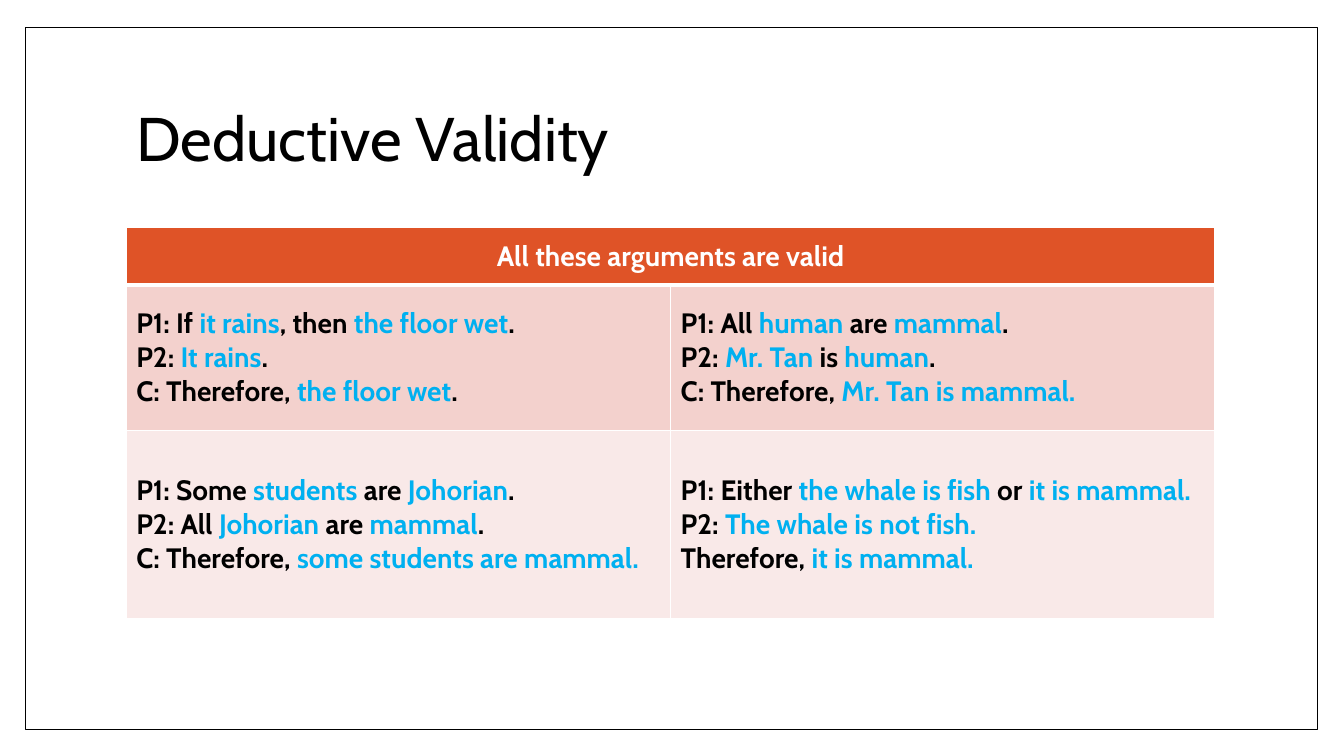
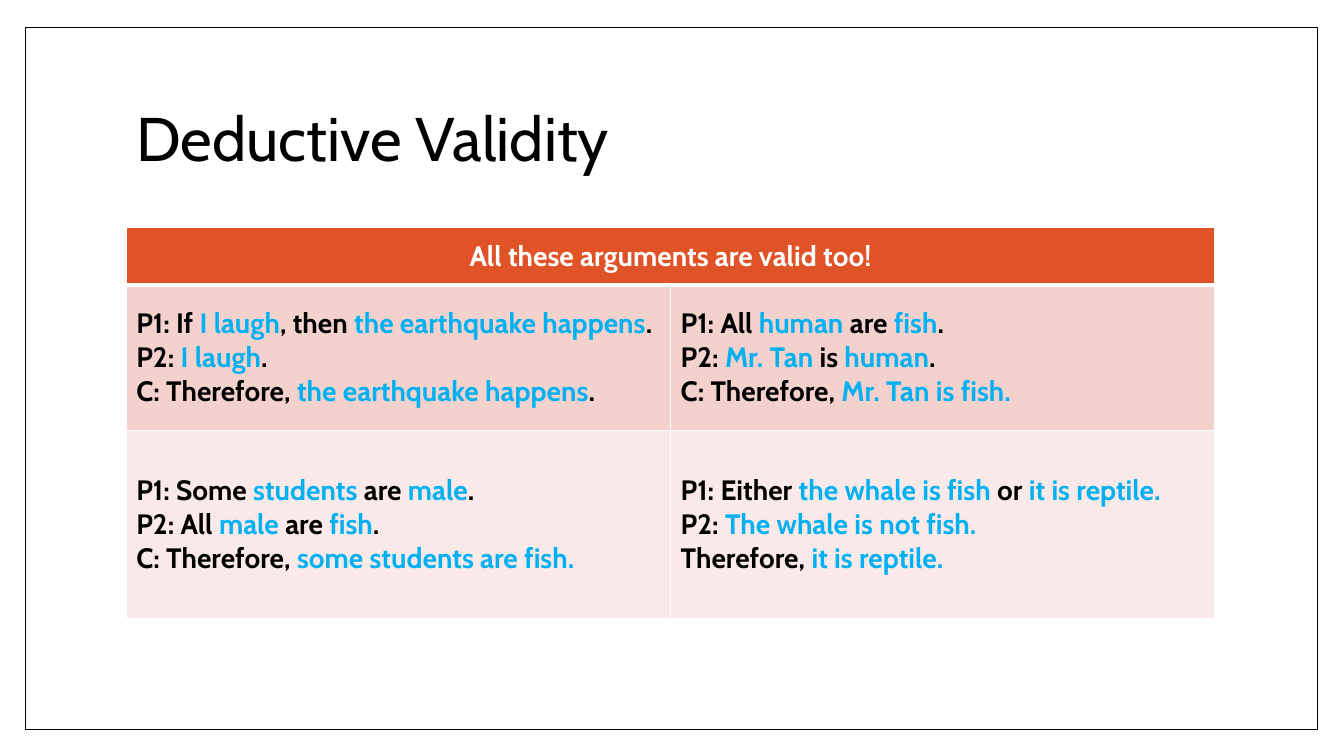
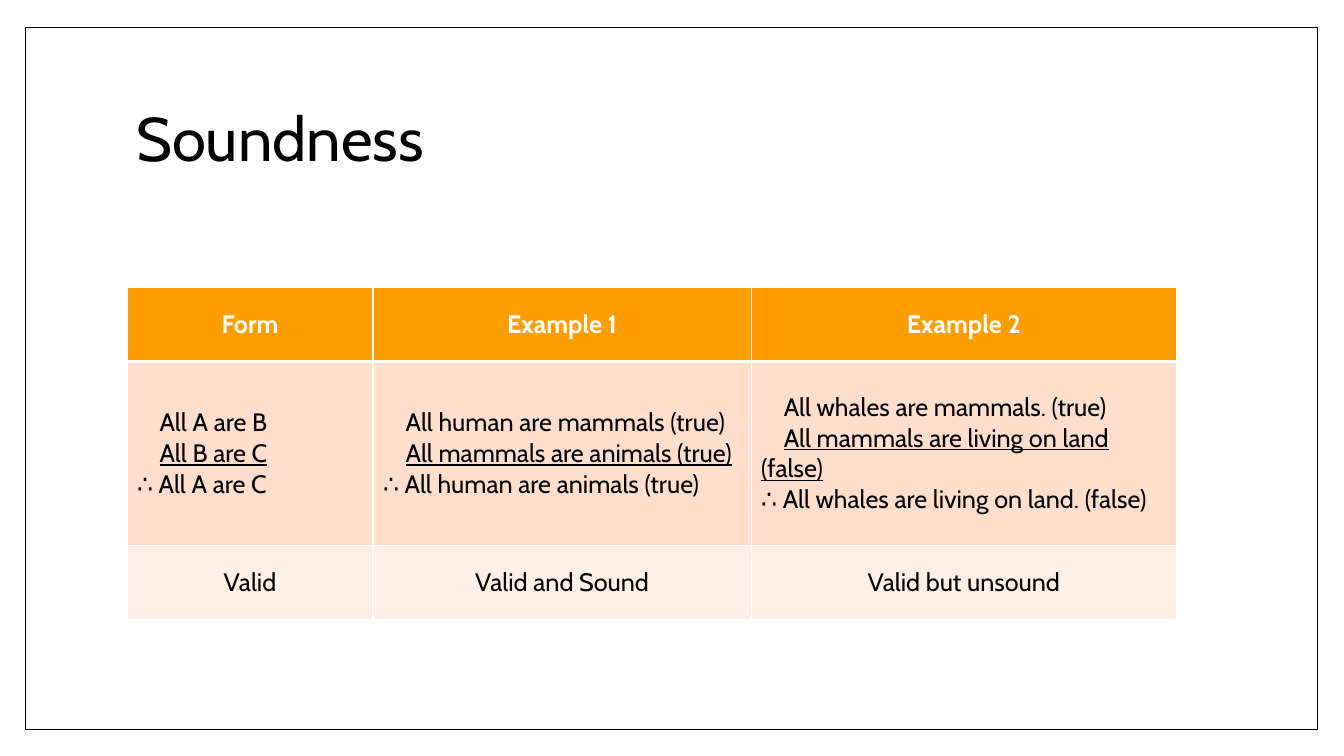
from lxml import etree
from pptx import Presentation
from pptx.dml.color import RGBColor
from pptx.enum.shapes import MSO_SHAPE
from pptx.enum.text import MSO_ANCHOR, PP_ALIGN
from pptx.oxml.ns import qn
from pptx.util import Cm, Pt

RECTANGLE = MSO_SHAPE.RECTANGLE
MIDDLE = MSO_ANCHOR.MIDDLE
LEFT, CENTER = PP_ALIGN.LEFT, PP_ALIGN.CENTER

FONT = "Cabin"
COLORS = {
    "text": "000000",
    "paper": "FFFFFF",
    "term": "00B0F0",
    "red": "DF5327",
    "red_mid": "F3D1CD",
    "red_pale": "F9E9E8",
    "orange": "FE9E00",
    "orange_mid": "FFDFCC",
    "orange_pale": "FFF0E7",
}
RED_ROWS = ["red", "red_mid", "red_pale"]
ORANGE_ROWS = ["orange", "orange_mid", "orange_pale"]
MARK = "|"
INDENT = Cm(0.57)
THIN, THICK = Pt(1), Pt(3)


def color(name):
    return RGBColor.from_string(COLORS[name])


class Deck:
    def __init__(self):
        self.presentation = Presentation()
        self.presentation.slide_width = Cm(33.87)
        self.presentation.slide_height = Cm(19.05)
        self.slide = None

    def add_slide(self, title):
        layout = self.presentation.slide_layouts[6]
        self.slide = self.presentation.slides.add_slide(layout)
        self.add_frame()
        self.add_title(title)

    def add_frame(self):
        frame = self.slide.shapes.add_shape(
            RECTANGLE, Cm(0.64), Cm(0.69), Cm(32.56), Cm(17.7))
        frame.shadow.inherit = False
        frame.fill.solid()
        frame.fill.fore_color.rgb = color("paper")
        frame.line.color.rgb = color("text")
        frame.line.width = THIN

    def add_title(self, title):
        box = self.slide.shapes.add_textbox(
            Cm(3.18), Cm(1.7), Cm(27.43), Cm(3.76))
        text_frame = box.text_frame
        text_frame.word_wrap = True
        text_frame.vertical_anchor = MIDDLE
        paragraph = text_frame.paragraphs[0]
        paragraph.text = title
        paragraph.line_spacing = 0.9
        self.format_run(paragraph.runs[0], 44, "text")

    def format_run(self, run, size, color_name, bold=False, underline=False):
        run.font.name = FONT
        run.font.size = Pt(size)
        run.font.bold = bold
        run.font.underline = underline
        run.font.color.rgb = color(color_name)

    def add_table(self, left, top, widths, heights, row_colors):
        table = self.slide.shapes.add_table(
            len(heights), len(widths), Cm(left), Cm(top),
            Cm(sum(widths)), Cm(sum(heights))).table
        for column, width in zip(table.columns, widths):
            column.width = Cm(width)
        for row, height in zip(table.rows, heights):
            row.height = Cm(height)
        for row_index, row_color in enumerate(row_colors):
            for cell in table.rows[row_index].cells:
                self.add_borders(cell, row_index)
                cell.fill.solid()
                cell.fill.fore_color.rgb = color(row_color)
                cell.vertical_anchor = MIDDLE
        return table

    def add_borders(self, cell, row_index):
        properties = cell._tc.get_or_add_tcPr()
        widths = {
            "L": THIN,
            "R": THIN,
            "T": THICK if row_index == 1 else THIN,
            "B": THICK if row_index == 0 else THIN,
        }
        for side, width in widths.items():
            line = etree.SubElement(properties, qn(f"a:ln{side}"), w=str(width))
            fill = etree.SubElement(line, qn("a:solidFill"))
            etree.SubElement(fill, qn("a:srgbClr"), val=COLORS["paper"])

    def write_cell(self, cell, lines, size, color_name="text", bold=False,
                   alignment=LEFT, marked_color=None, indented=0):
        cell.text_frame.text = "\n".join(lines)
        for index, paragraph in enumerate(cell.text_frame.paragraphs):
            paragraph.alignment = alignment
            if index < indented:
                paragraph._p.get_or_add_pPr().set("indent", str(INDENT))
            paragraph.text = ""
            for part, text in enumerate(lines[index].split(MARK)):
                if text:
                    run = paragraph.add_run()
                    run.text = text
                    marked = part % 2 == 1
                    self.format_run(
                        run, size,
                        marked_color if marked and marked_color else color_name,
                        bold, marked and not marked_color)

    def add_argument_table(self, heading, arguments):
        table = self.add_table(
            3.18, 5.72, [13.72] * 2, [1.47, 3.65, 4.76], RED_ROWS)
        table.cell(0, 0).merge(table.cell(0, 1))
        self.write_cell(table.cell(0, 0), [heading], 20, "paper", True, CENTER)
        for index, lines in enumerate(arguments):
            cell = table.cell(1 + index // 2, index % 2)
            self.write_cell(cell, lines, 20, bold=True, marked_color="term")

    def add_soundness_table(self, columns):
        table = self.add_table(
            3.2, 7.24, [6.2, 9.53, 10.72], [1.87, 4.63, 1.88], ORANGE_ROWS)
        for index, (heading, lines, verdict) in enumerate(columns):
            self.write_cell(
                table.cell(0, index), [heading], 18, "paper", True, CENTER)
            self.write_cell(table.cell(1, index), lines, 18, indented=2)
            self.write_cell(
                table.cell(2, index), [verdict], 18, alignment=CENTER)


def build_arguments(cause, effect, kind, group, whale_kind):
    return [
        [f"P1: If |{cause}|, then |{effect}|.",
         f"P2: |{cause[0].upper()}{cause[1:]}|.",
         f"C: Therefore, |{effect}|."],
        [f"P1: All |human| are |{kind}|.",
         "P2: |Mr. Tan |is |human|.",
         f"C: Therefore, |Mr. Tan is {kind}.|"],
        [f"P1: Some |students| are |{group}|.",
         f"P2: All |{group}| are |{kind}|.",
         f"C: Therefore, |some students are {kind}.|"],
        [f"P1: Either |the whale is fish |or |it is {whale_kind}.|",
         "P2: |The whale is not fish.|",
         f"Therefore, |it is {whale_kind}.|"],
    ]


def main():
    deck = Deck()

    deck.add_slide("Deductive Validity")
    deck.add_argument_table(
        "All these arguments are valid",
        build_arguments(
            "it rains", "the floor wet", "mammal", "Johorian", "mammal"))

    deck.add_slide("Deductive Validity")
    deck.add_argument_table(
        "All these arguments are valid too!",
        build_arguments(
            "I laugh", "the earthquake happens", "fish", "male", "reptile"))

    deck.add_slide("Soundness")
    deck.add_soundness_table([
        ("Form",
         ["All A are B", "|All B are C|", "∴ All A are C"],
         "Valid"),
        ("Example 1",
         ["All human are mammals (true)",
          "|All mammals are animals (true)|",
          "∴ All human are animals (true)"],
         "Valid and Sound"),
        ("Example 2",
         ["All whales are mammals. (true)",
          "|All mammals are living on land (false)|",
          "∴ All whales are living on land. (false)"],
         "Valid but unsound"),
    ])

    deck.presentation.save("out.pptx")


if __name__ == "__main__":
    main()
